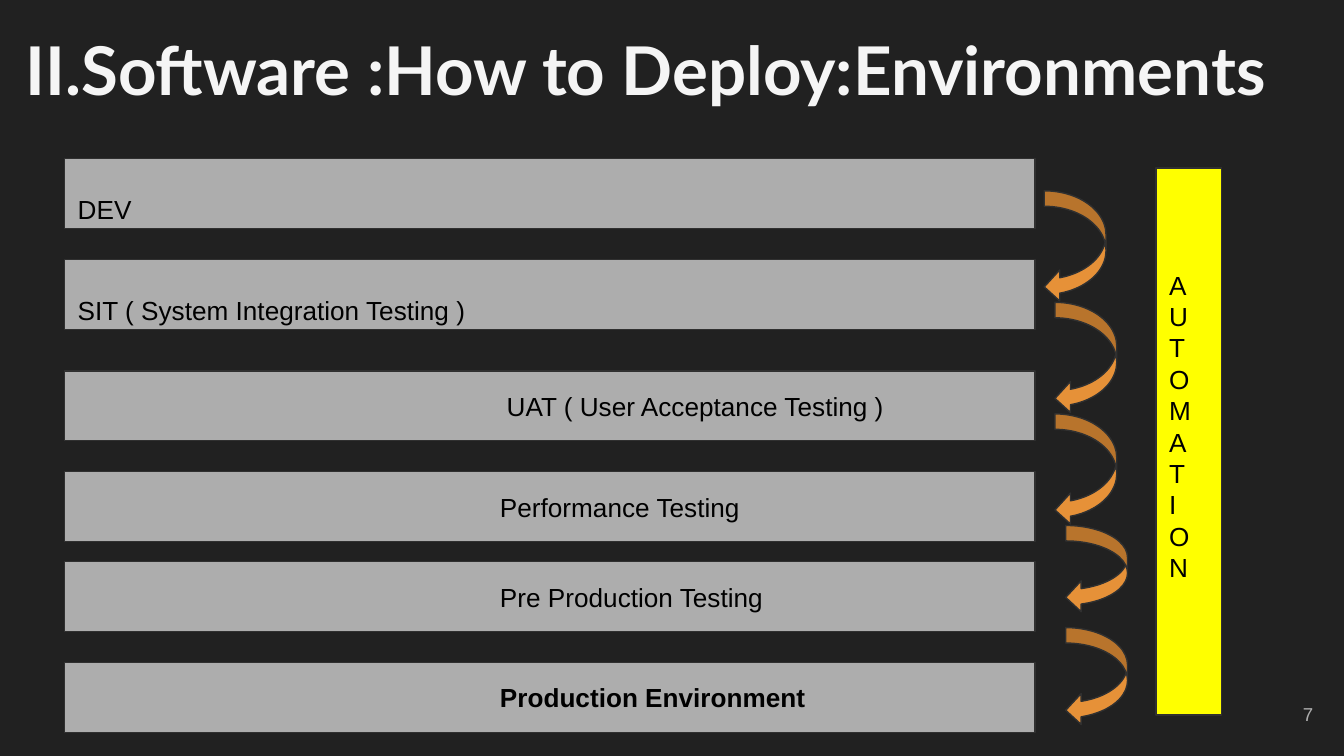
from dataclasses import dataclass

import pptx
import pptx.dml.color
import pptx.enum.shapes
import pptx.enum.text
import pptx.util

Inches = pptx.util.Inches
Pt = pptx.util.Pt
Shape = pptx.enum.shapes.MSO_SHAPE
Anchor = pptx.enum.text.MSO_ANCHOR
Align = pptx.enum.text.PP_ALIGN


@dataclass(frozen=True)
class Theme:
    back: str = "212121"
    title: str = "F5F5F5"
    bar: str = "ADADAD"
    edge: str = "303030"
    arrow: str = "E69138"
    tower: str = "FFFF00"
    ink: str = "000000"
    page: str = "ADADAD"
    head_font: str = "Lato"
    body_font: str = "Arial"
    head_size: float = 36
    body_size: float = 14
    page_size: float = 10
    edge_width: float = 0.75
    inset: float = 0.1


@dataclass(frozen=True)
class Stage:
    label: str
    top: float
    indent: float
    low: bool = False
    bold: bool = False


@dataclass(frozen=True)
class Arrow:
    left: float
    top: float
    height: float


THEME = Theme()

STAGES = [
    Stage("DEV", 1.18, 0, low=True),
    Stage("SIT ( System Integration Testing )", 1.93, 0, low=True),
    Stage("UAT ( User Acceptance Testing )", 2.76, 3.19),
    Stage("Performance Testing", 3.51, 3.14),
    Stage("Pre Production Testing", 4.18, 3.14),
    Stage("Production Environment", 4.93, 3.14, bold=True),
]

ARROWS = [
    Arrow(7.77, 1.42, 0.83),
    Arrow(7.85, 2.25, 0.83),
    Arrow(7.85, 3.08, 0.83),
    Arrow(7.93, 3.91, 0.65),
    Arrow(7.93, 4.67, 0.73),
]


def color(value: str) -> pptx.dml.color.RGBColor:
    return pptx.dml.color.RGBColor.from_string(value)


def apply(target, values: dict) -> None:
    for name, value in values.items():
        setattr(target, name, value)


def write(shape, lines: list[str], font: dict, ink: str,
          para: dict | None = None, frame: dict | None = None) -> None:
    """Fill a shape with one paragraph per line."""
    inset = Inches(THEME.inset)
    text = shape.text_frame
    apply(text, {
        "word_wrap": True,
        "auto_size": pptx.enum.text.MSO_AUTO_SIZE.NONE,
        "vertical_anchor": Anchor.MIDDLE,
        "margin_left": inset, "margin_right": inset,
        "margin_top": inset, "margin_bottom": inset,
    } | (frame or {}))
    text.text = "\n".join(lines)
    for part in text.paragraphs:
        apply(part, {"alignment": Align.LEFT} | (para or {}))
        for run in part.runs:
            apply(run.font, {"name": THEME.body_font,
                             "size": Pt(THEME.body_size)} | font)
            run.font.color.rgb = color(ink)


def draw(slide, kind, box: tuple[float, ...], fill: str):
    """Add a flat shape with the common thin edge."""
    shape = slide.shapes.add_shape(kind, *map(Inches, box))
    shape.shadow.inherit = False
    shape.fill.solid()
    shape.fill.fore_color.rgb = color(fill)
    shape.line.color.rgb = color(THEME.edge)
    shape.line.width = Pt(THEME.edge_width)
    return shape


def draw_stage(slide, stage: Stage) -> None:
    bar = draw(slide, Shape.RECTANGLE, (0.48, stage.top, 7.22, 0.52), THEME.bar)
    frame = {"margin_left": Inches(THEME.inset + stage.indent)}
    if stage.low:
        frame |= {"vertical_anchor": Anchor.BOTTOM,
                  "margin_top": 0, "margin_bottom": Inches(0.03)}
    write(bar, [stage.label], {"bold": stage.bold}, THEME.ink, frame=frame)


def draw_arrow(slide, arrow: Arrow) -> None:
    box = (arrow.left, arrow.top, 0.46, arrow.height)
    draw(slide, Shape.CURVED_LEFT_ARROW, box, THEME.arrow)


def main() -> None:
    # Wide slide, 16 to 9
    deck = pptx.Presentation()
    width = Inches(10)
    apply(deck, {"slide_width": width, "slide_height": width * 9 // 16})
    slide = deck.slides.add_slide(deck.slide_layouts[5])
    slide.background.fill.solid()
    slide.background.fill.fore_color.rgb = color(THEME.back)

    # Title
    title = slide.shapes.title
    apply(title, {"left": Inches(0.09), "top": Inches(0.11),
                  "width": Inches(9.72), "height": Inches(0.83)})
    write(title, ["II.Software :How to Deploy:Environments"],
          {"name": THEME.head_font, "size": Pt(THEME.head_size), "bold": True},
          THEME.title, frame={"vertical_anchor": Anchor.TOP})

    # Stages and the steps between them
    for stage in STAGES:
        draw_stage(slide, stage)
    for arrow in ARROWS:
        draw_arrow(slide, arrow)

    # Page number
    page = slide.shapes.add_textbox(*map(Inches, (9.27, 5.1, 0.6, 0.43)))
    write(page, ["7"], {"size": Pt(THEME.page_size)}, THEME.page,
          para={"alignment": Align.RIGHT})

    # Tower of letters beside all stages
    tower = draw(slide, Shape.RECTANGLE, (8.6, 1.25, 0.49, 4.07), THEME.tower)
    write(tower, list("AUTOMATION"), {}, THEME.ink,
          para={"line_spacing": Pt(16.8)},
          frame={"margin_bottom": Inches(0.33)})

    deck.save("out.pptx")


if __name__ == "__main__":
    main()
